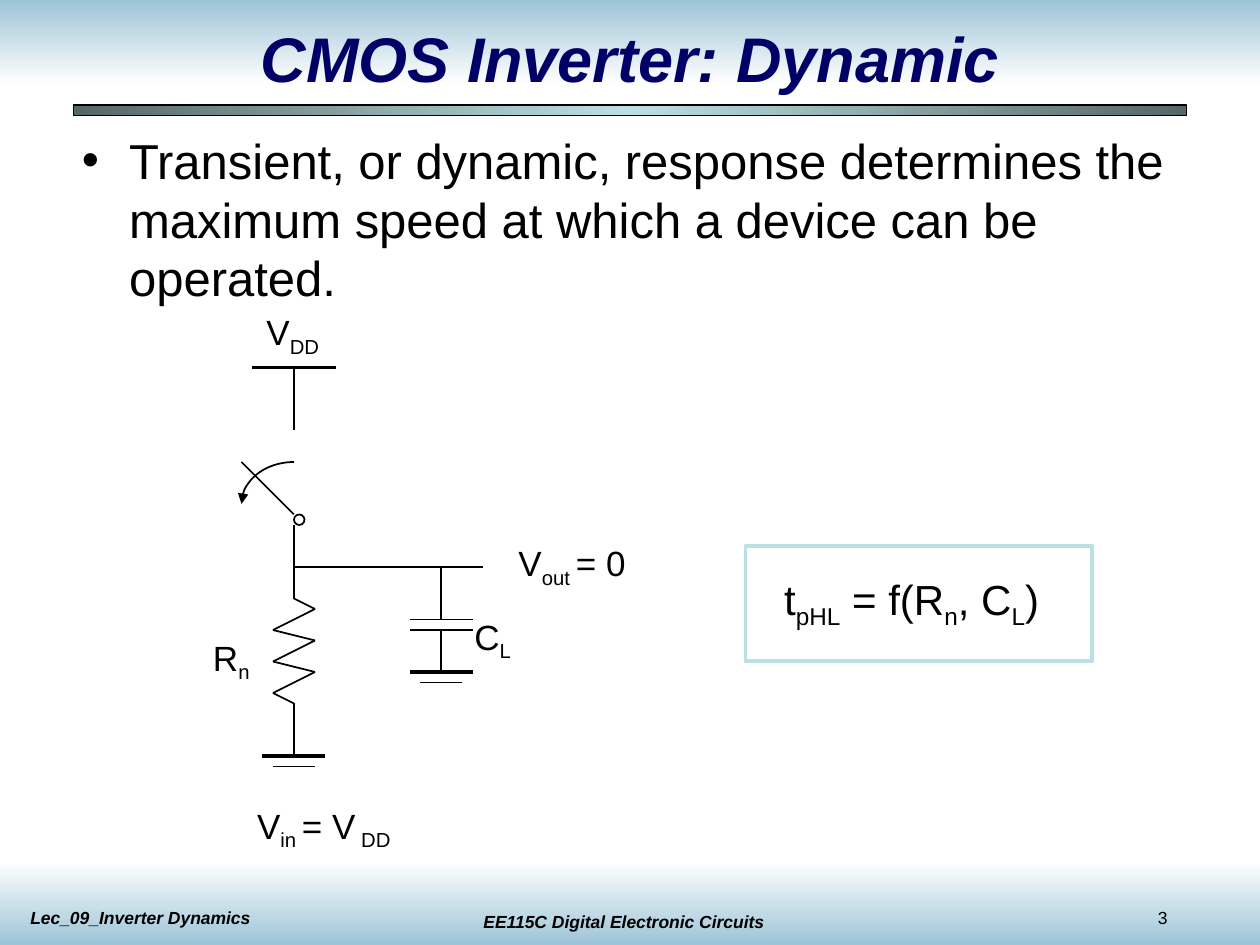
from itertools import pairwise
from lxml.etree import SubElement
from pptx import Presentation
from pptx.dml.color import RGBColor
from pptx.enum.shapes import MSO_CONNECTOR, MSO_SHAPE
from pptx.enum.text import MSO_ANCHOR, MSO_AUTO_SIZE, PP_ALIGN
from pptx.oxml.ns import qn
from pptx.util import Emu, Pt

SCALE = 914400 // 120
INK = {"text": "000000", "title": "000066", "sky": "9DC4D7",
       "white": "FFFFFF", "aqua": "BBE0E3", "slate": "566768"}


def px(*nums):
    return [Emu(n * SCALE) for n in nums]


def tint(name):
    return RGBColor.from_string(INK[name])


def shape(slide, kind, box, line=None, width=1):
    item = slide.shapes.add_shape(kind, *px(*box))
    item.shadow.inherit = False
    item.fill.background()
    if line:
        item.line.color.rgb = tint(line)
        item.line.width = Pt(width)
    else:
        item.line.fill.background()
    return item


def blend(item, names, angle):
    item.fill.gradient()
    item.fill.gradient_angle = angle
    stops = item.fill._xPr.find(qn("a:gradFill")).find(qn("a:gsLst"))
    for stop in list(stops):
        stops.remove(stop)
    for i, name in enumerate(names):
        stop = SubElement(stops, qn("a:gs"), pos=str(100000 * i // (len(names) - 1)))
        SubElement(stop, qn("a:srgbClr"), val=INK[name])


def wire(slide, start, end, width=1):
    item = slide.shapes.add_connector(MSO_CONNECTOR.STRAIGHT, *px(*start, *end))
    item.line.color.rgb = tint("text")
    item.line.width = Pt(width)
    SubElement(item._element.spPr, qn("a:effectLst"))


def write(slide, box, text, size, wrap=True, color="text", bold=False, align=PP_ALIGN.LEFT):
    frame = slide.shapes.add_textbox(*px(*box)).text_frame
    frame.word_wrap = wrap
    frame.auto_size = MSO_AUTO_SIZE.SHAPE_TO_FIT_TEXT
    para = frame.paragraphs[0]
    para.alignment = align
    for i, part in enumerate(text.split("|")):
        run = para.add_run()
        run.text = part
        font = run.font
        font.name, font.size = "Arial", Pt(size)
        font.bold = font.italic = bold
        font.color.rgb = tint(color)
        if i % 2:
            run._r.get_or_add_rPr().set("baseline", "-25000")
    return frame


def header(slide, x, y, w, h):
    blend(shape(slide, MSO_SHAPE.RECTANGLE, (x, y, w, h)), ["sky", "white"], 270)
    rule = shape(slide, MSO_SHAPE.RECTANGLE, (x + 70, y + 100, w - 140, 10), "text", 0.75)
    blend(rule, ["slate", "aqua", "slate"], 0)
    frame = write(slide, (x + 90, y + 20, w - 180, 70), "CMOS Inverter: Dynamic", 36,
                  color="title", bold=True, align=PP_ALIGN.CENTER)
    frame.auto_size = MSO_AUTO_SIZE.NONE
    frame.vertical_anchor = MSO_ANCHOR.MIDDLE


def footer(slide, x, y, w, h):
    blend(shape(slide, MSO_SHAPE.RECTANGLE, (x, y, w, h)), ["white", "sky"], 270)
    write(slide, (x + 17, y + 38, 340, 32), "Lec_09_Inverter Dynamics", 10, bold=True)
    write(slide, (x + 424, y + 42, 340, 32), "EE115C Digital Electronic Circuits", 10,
          bold=True, align=PP_ALIGN.CENTER)
    write(slide, (x + 1091, y + 38, 100, 32), "3", 10, wrap=False)


def body(slide, x, y, w, h):
    frame = write(slide, (x, y, w, h), "Transient, or dynamic, response determines the "
                  "maximum speed at which a device can be operated.", 28)
    frame.margin_left, frame.margin_right, frame.margin_top, frame.margin_bottom = px(8, 8, 4, 4)
    props = frame.paragraphs[0]._p.get_or_add_pPr()
    props.set("marL", str(45 * SCALE))
    props.set("indent", str(-45 * SCALE))
    SubElement(props, qn("a:buFont"), typeface="Arial")
    SubElement(props, qn("a:buChar"), char="•")


def ground(slide, x, y):
    wire(slide, (x - 30, y), (x + 30, y), 2.25)
    wire(slide, (x - 20, y + 10), (x + 20, y + 10))


def switch(slide, x, y):
    wire(slide, (x, y), (x + 50, y + 50))
    shape(slide, MSO_SHAPE.OVAL, (x + 50, y + 50, 10, 10), "text")
    arc = shape(slide, MSO_SHAPE.ARC, (x, y, 100, 80), "text")
    arc.adjustments[0], arc.adjustments[1] = 108, 162
    SubElement(arc.line._get_or_add_ln(), qn("a:headEnd"), type="triangle")


def zigzag(slide, x, y):
    bends = [(x + (20 if i % 2 == 0 else -20), y + 10 + 30 * (i // 2) + 20 * (i % 2))
             for i in range(6)]
    for start, end in pairwise([(x, y), *bends, (x, y + 100)]):
        wire(slide, start, end)


def circuit(slide, x, y):
    mid, cap = x + 90, x + 230
    wire(slide, (mid - 40, y + 60), (mid + 40, y + 60), 2.25)
    for col, top, end in [(mid, 60, 120), (mid, 210, 280), (mid, 380, 430),
                          (cap, 250, 300), (cap, 310, 350)]:
        wire(slide, (col, y + top), (col, y + end))
    switch(slide, x + 40, y + 150)
    zigzag(slide, mid, y + 280)
    wire(slide, (mid, y + 250), (mid + 180, y + 250))
    for plate in (300, 310):
        wire(slide, (cap - 30, y + plate), (cap + 30, y + plate))
    ground(slide, mid, y + 430)
    ground(slide, cap, y + 350)
    for dx, dy, w, text in [(52, 0, 74, "V|DD"), (1, 310, 59, "R|n"),
                            (292, 220, 126, "V|out |= 0"), (250, 290, 59, "C|L"),
                            (43, 470, 151, "V|in |= V| DD")]:
        write(slide, (x + dx, y + dy, w, 58), text, 20, wrap=False)


def delay(slide, x, y, w, h):
    shape(slide, MSO_SHAPE.RECTANGLE, (x, y, w, h), "aqua", 2.25)
    write(slide, (x + 25, y + 20, w - 40, 67), "t|pHL| = f(R|n|, C|L|)", 24)


def main():
    deck = Presentation()
    deck.slide_width, deck.slide_height = px(1200, 900)
    slide = deck.slides.add_slide(deck.slide_layouts[6])
    header(slide, 0, 0, 1200, 80)
    footer(slide, 0, 820, 1200, 80)
    body(slide, 70, 120, 1070, 175)
    circuit(slide, 190, 290)
    delay(slide, 710, 520, 330, 110)
    deck.save("out.pptx")


if __name__ == "__main__":
    main()
